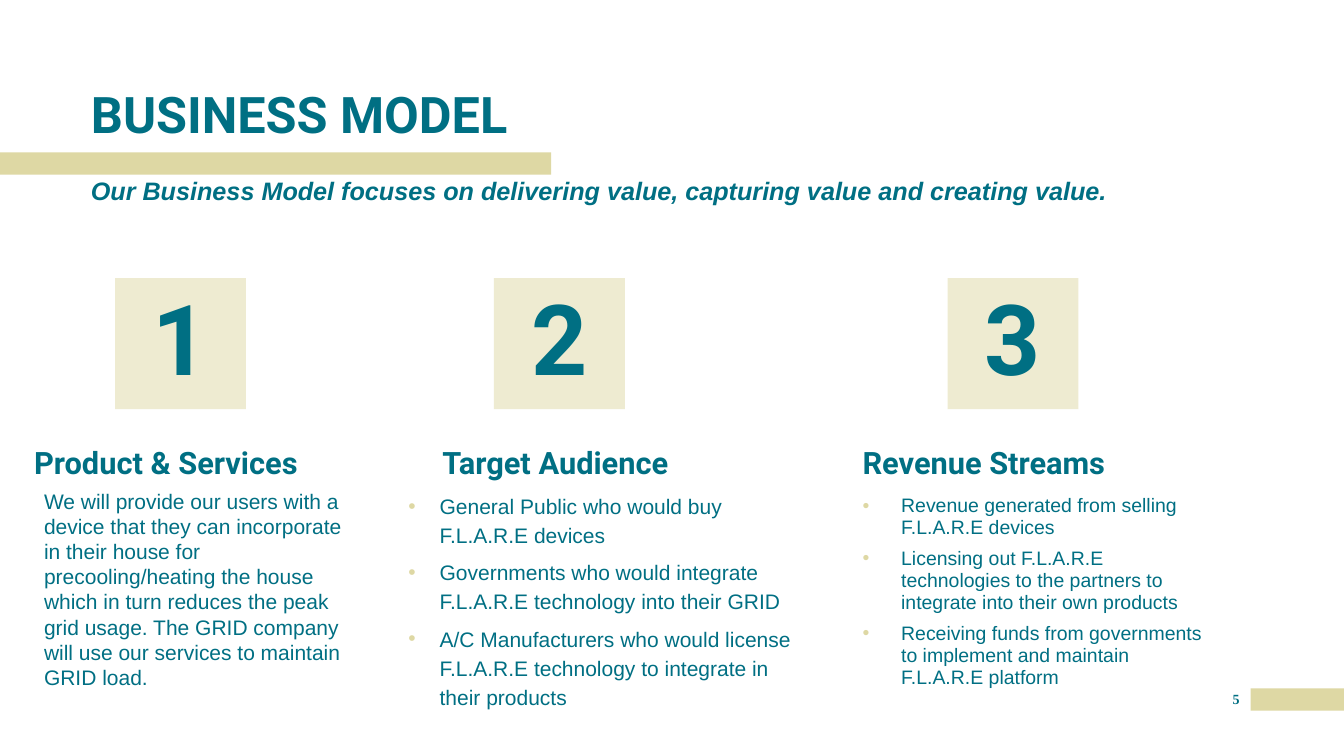
from lxml import etree
from pptx import Presentation
from pptx.dml.color import RGBColor
from pptx.enum.shapes import MSO_SHAPE
from pptx.enum.text import MSO_ANCHOR, MSO_AUTO_SIZE, PP_ALIGN
from pptx.oxml.ns import qn
from pptx.util import Cm, Pt

TEAL = RGBColor(0x00, 0x6F, 0x83)
SAND = RGBColor(0xDE, 0xD8, 0xA4)
RECTANGLE = MSO_SHAPE.RECTANGLE
TOP, MIDDLE, BOTTOM = MSO_ANCHOR.TOP, MSO_ANCHOR.MIDDLE, MSO_ANCHOR.BOTTOM
LEFT, CENTER = PP_ALIGN.LEFT, PP_ALIGN.CENTER
NO_AUTOFIT = MSO_AUTO_SIZE.NONE
TWO_CONTENT_LAYOUT = 3

HEADING_FONT, BODY_FONT, NUMBER_FONT = "Roboto", "Arial", "Times New Roman"


class SlideBuilder:
    """Holds the current slide and its shared style."""

    def __init__(self, slide):
        self.slide = slide

    def set_text(self, shape, lines, size, font=BODY_FONT, bold=False, italic=False,
                 align=LEFT, anchor=TOP, spacing=0.9, before=0, inset=(0, 0), indent=None):
        frame = shape.text_frame
        frame.word_wrap = True
        frame.auto_size = NO_AUTOFIT
        frame.vertical_anchor = anchor
        frame.margin_left = frame.margin_right = Cm(inset[0])
        frame.margin_top = frame.margin_bottom = Cm(inset[1])
        frame.text = "\n".join(lines)
        for paragraph in frame.paragraphs:
            paragraph.alignment = align
            paragraph.line_spacing = spacing
            paragraph.space_before = Pt(before)
            self.set_bullet(paragraph, indent)
            paragraph.font.name = font
            paragraph.font.size = Pt(size)
            paragraph.font.bold = bold
            paragraph.font.italic = italic
            paragraph.font.color.rgb = TEAL

    def set_bullet(self, paragraph, indent):
        properties = paragraph._p.get_or_add_pPr()
        if indent is None:
            properties.set("marL", "0")
            properties.set("indent", "0")
            etree.SubElement(properties, qn("a:buNone"))
            return
        properties.set("marL", str(Cm(indent)))
        properties.set("indent", str(-Cm(indent)))
        color = etree.SubElement(properties, qn("a:buClr"))
        etree.SubElement(color, qn("a:srgbClr"), val=str(SAND))
        etree.SubElement(properties, qn("a:buFont"), typeface=BODY_FONT)
        etree.SubElement(properties, qn("a:buChar"), char="•")

    def rectangle(self, left, top, width, height, opacity=100):
        shape = self.slide.shapes.add_shape(
            RECTANGLE, Cm(left), Cm(top), Cm(width), Cm(height))
        shape.shadow.inherit = False
        shape.line.fill.background()
        shape.fill.solid()
        shape.fill.fore_color.rgb = SAND
        if opacity < 100:
            color = shape._element.spPr.find(qn("a:solidFill")).find(qn("a:srgbClr"))
            etree.SubElement(color, qn("a:alpha"), val=str(opacity * 1000))
        return shape

    def text(self, left, top, width, height, line, size, **style):
        box = self.slide.shapes.add_textbox(Cm(left), Cm(top), Cm(width), Cm(height))
        self.set_text(box, [line], size, **style)

    def placeholder(self, index, left, top, width, height, lines, size, **style):
        shape = self.slide.placeholders[index]
        shape.left, shape.top = Cm(left), Cm(top)
        shape.width, shape.height = Cm(width), Cm(height)
        self.set_text(shape, lines, size, **style)

    def column_head(self, number, square_left, heading_left, heading):
        square = self.rectangle(square_left, 7.01, 3.3, 3.3, opacity=50)
        self.set_text(square, [str(number)], 70, font=HEADING_FONT, bold=True,
                      align=CENTER, anchor=MIDDLE, before=10)
        self.text(heading_left, 10.82, 8.13, 1.3, heading, 22, font=HEADING_FONT,
                  bold=True, anchor=BOTTOM, before=10)


def main():
    presentation = Presentation()
    presentation.slide_width, presentation.slide_height = Cm(33.87), Cm(19.05)
    layout = presentation.slide_layouts[TWO_CONTENT_LAYOUT]
    builder = SlideBuilder(presentation.slides.add_slide(layout))

    # Accent bars
    builder.rectangle(31.52, 17.35, 2.35, 0.56)
    builder.rectangle(0, 3.84, 13.89, 0.56)

    # Title and tagline
    builder.placeholder(0, 2.29, 1.98, 21.67, 1.65, ["BUSINESS MODEL"], 36,
                        font=HEADING_FONT, bold=True, anchor=BOTTOM)
    builder.text(2.29, 4.5, 25.78, 2.62,
                 "Our Business Model focuses on delivering value, "
                 "capturing value and creating value.",
                 18, bold=True, italic=True, before=10)

    # Numbered column heads
    columns = [(2.9, 0.86, "Product & Services"),
               (12.45, 11.15, "Target Audience"),
               (23.88, 21.74, "Revenue Streams")]
    for number, column in enumerate(columns, start=1):
        builder.column_head(number, *column)

    # Column texts
    builder.text(0.86, 12.17, 8.13, 5.38,
                 "We will provide our users with a device that they can incorporate "
                 "in their house for precooling/heating the house which in turn "
                 "reduces the peak grid usage. The GRID company will use our services "
                 "to maintain GRID load.",
                 15, spacing=1.0, inset=(0.25, 0.13))
    builder.placeholder(1, 10.29, 12.34, 9.83, 6.15, [
        "General Public who would buy F.L.A.R.E devices",
        "Governments who would integrate F.L.A.R.E technology into their GRID",
        "A/C Manufacturers who would license F.L.A.R.E technology to integrate "
        "in their products",
    ], 15, spacing=1.15, before=6, indent=0.79)
    builder.placeholder(2, 21.74, 12.47, 8.76, 5.23, [
        "Revenue generated from selling F.L.A.R.E devices",
        "Licensing out F.L.A.R.E technologies to the partners to integrate "
        "into their own products",
        "Receiving funds from governments to implement and maintain "
        "F.L.A.R.E platform",
    ], 13.9, spacing=0.95, before=6, indent=0.97)

    # Page number
    builder.text(30.78, 17.4, 0.74, 0.64, "5", 10, font=NUMBER_FONT, bold=True,
                 align=CENTER, spacing=1.0)

    presentation.save("out.pptx")


if __name__ == "__main__":
    main()
